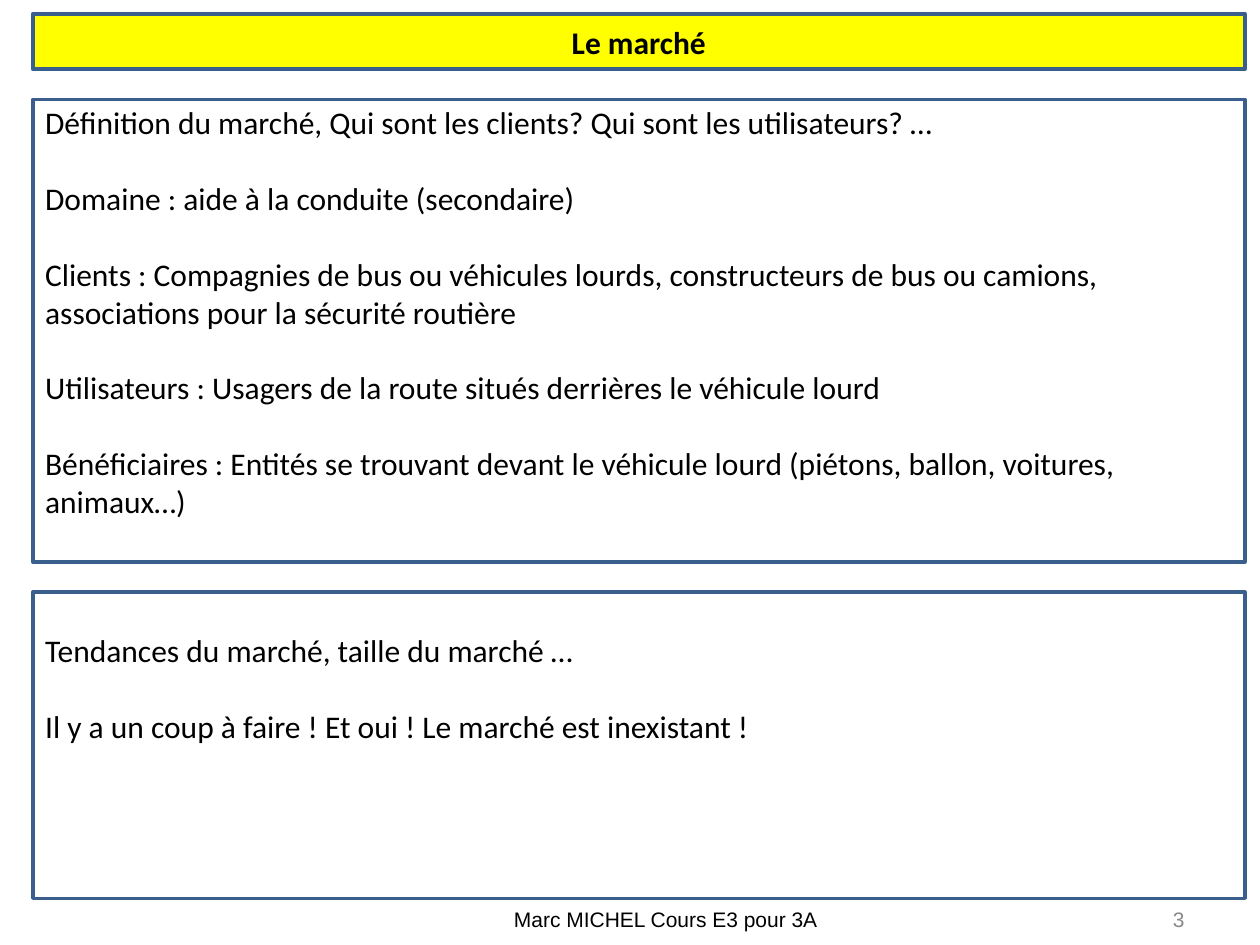
"""Build the market slide: a title band, two framed text panels and a footer."""
from pptx import Presentation
from pptx.dml.color import RGBColor
from pptx.enum.shapes import MSO_SHAPE
from pptx.enum.text import MSO_ANCHOR, PP_ALIGN
from pptx.util import Inches, Pt


def color(value):
    return RGBColor.from_string(value)


def write(box, lines, align, gap, formats, ink):
    frame = box.text_frame
    frame.word_wrap = True
    for index, line in enumerate(lines):
        para = frame.paragraphs[0] if index == 0 else frame.add_paragraph()
        para.alignment = align
        para.space_before = Pt(gap if index else 0)
        span = para.add_run()
        span.text = line
        for name, value in formats.items():
            setattr(span.font, name, value)
        span.font.color.rgb = color(ink)


deck = Presentation()
deck.slide_width, deck.slide_height = Inches(10), Inches(7.5)
page = deck.slides.add_slide(deck.slide_layouts[6])
column, row = deck.slide_width / 100, deck.slide_height / 100

market = [
    "Définition du marché, Qui sont les clients? Qui sont les utilisateurs? …",
    "Domaine : aide à la conduite (secondaire)",
    "Clients : Compagnies de bus ou véhicules lourds, constructeurs de bus ou camions, "
    "associations pour la sécurité routière",
    "Utilisateurs : Usagers de la route situés derrières le véhicule lourd",
    "Bénéficiaires : Entités se trouvant devant le véhicule lourd "
    "(piétons, ballon, voitures, animaux…)",
]
trends = [
    "Tendances du marché, taille du marché …",
    "Il y a un coup à faire ! Et oui ! Le marché est inexistant !",
]

panels = [
    (10.53, 48.93, "FFFFFF", market, PP_ALIGN.LEFT, MSO_ANCHOR.TOP, 0.4, False),
    (62.67, 32.4, "FFFFFF", trends, PP_ALIGN.LEFT, MSO_ANCHOR.TOP, 4.13, False),
    (1.47, 5.87, "FFFF00", ["Le marché"], PP_ALIGN.CENTER, MSO_ANCHOR.MIDDLE, 0.67, True),
]
for top, height, fill, lines, align, anchor, inset, bold in panels:
    panel = page.shapes.add_shape(
        MSO_SHAPE.RECTANGLE,
        int(2.6 * column), int(top * row), int(96.2 * column), int(height * row),
    )
    panel.shadow.inherit = False
    panel.fill.solid()
    panel.fill.fore_color.rgb = color(fill)
    panel.line.color.rgb = color("3A5F8C")
    panel.line.width = Pt(2)
    panel.text_frame.vertical_anchor = anchor
    panel.text_frame.margin_top = int(inset * row)
    write(panel, lines, align, 21.7, {"name": "Calibri", "size": Pt(18), "bold": bold}, "000000")

footers = [
    (71.7, 23.3, 3.6, "3", PP_ALIGN.RIGHT, "898989"),
    (22.3, 61.1, 4, "Marc MICHEL Cours E3 pour 3A", PP_ALIGN.CENTER, "000000"),
]
for left, width, height, label, align, ink in footers:
    footer = page.shapes.add_textbox(
        int(left * column), int(95.33 * row), int(width * column), int(height * row)
    )
    write(footer, [label], align, 0, {"name": "Arial", "size": Pt(12)}, ink)

deck.save("out.pptx")
